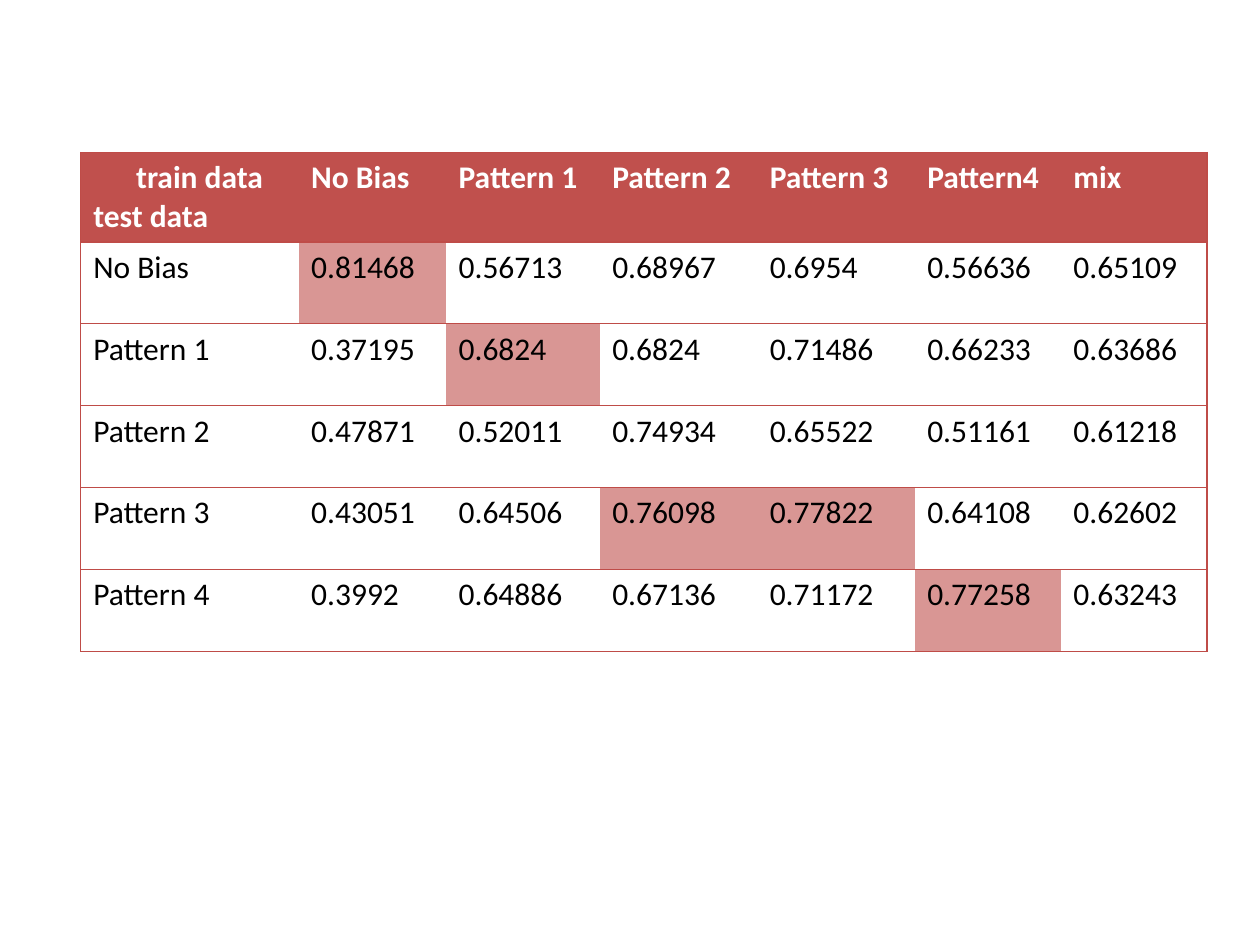
"""Build a slide with a table of scores by training and test data."""
from dataclasses import dataclass

from lxml import etree
from pptx import Presentation
from pptx.dml.color import RGBColor
from pptx.oxml.ns import qn
from pptx.table import _Cell as Cell
from pptx.util import Inches, Pt

COLORS = {
    "header": "C0504D",
    "border": "BF4C48",
    "highlight": "D99694",
    "white": "FFFFFF",
    "black": "000000",
}
COL_WIDTHS = [1.73, 1.17, 1.22, 1.25, 1.25, 1.16, 1.16]
HEADER_HEIGHT, ROW_HEIGHT = 0.7, 0.65
HEADER = ["train data\ntest data", "No Bias", "Pattern 1", "Pattern 2",
          "Pattern 3", "Pattern4", "mix"]


@dataclass
class ScoreRow:
    test_data: str
    scores: list[str]
    highlighted: tuple[int, ...] = ()


ROWS = [
    ScoreRow("No Bias", ["0.81468", "0.56713", "0.68967", "0.6954", "0.56636", "0.65109"], (1,)),
    ScoreRow("Pattern 1", ["0.37195", "0.6824", "0.6824", "0.71486", "0.66233", "0.63686"], (2,)),
    ScoreRow("Pattern 2", ["0.47871", "0.52011", "0.74934", "0.65522", "0.51161", "0.61218"]),
    ScoreRow("Pattern 3", ["0.43051", "0.64506", "0.76098", "0.77822", "0.64108", "0.62602"], (3, 4)),
    ScoreRow("Pattern 4", ["0.3992", "0.64886", "0.67136", "0.71172", "0.77258", "0.63243"], (5,)),
]


def set_borders(cell: Cell, sides: str) -> None:
    tc_pr = cell._tc.get_or_add_tcPr()
    for i, side in enumerate("LRTB"):
        ln = etree.Element(qn(f"a:ln{side}"), w=str(Pt(0.75)))
        if side in sides:
            fill = etree.SubElement(ln, qn("a:solidFill"))
            etree.SubElement(fill, qn("a:srgbClr"), val=COLORS["border"])
        else:
            etree.SubElement(ln, qn("a:noFill"))
        tc_pr.insert(i, ln)


def write_cell(cell: Cell, text: str, color: str, bold: bool, fill: str | None) -> None:
    cell.text_frame.text = text
    for p in cell.text_frame.paragraphs:
        for r in p.runs:
            r.font.name = "Calibri"
            r.font.size = Pt(18)
            r.font.bold = bold
            r.font.color.rgb = RGBColor.from_string(COLORS[color])
    if fill:
        cell.fill.solid()
        cell.fill.fore_color.rgb = RGBColor.from_string(COLORS[fill])
    else:
        cell.fill.background()


prs = Presentation()
prs.slide_width, prs.slide_height = Inches(10), Inches(7.5)
slide = prs.slides.add_slide(prs.slide_layouts[6])

height = HEADER_HEIGHT + ROW_HEIGHT * len(ROWS)
table = slide.shapes.add_table(
    len(ROWS) + 1, len(HEADER), Inches(0.64), Inches(1.21),
    Inches(sum(COL_WIDTHS)), Inches(height)).table
table.horz_banding = False
for column, width in zip(table.columns, COL_WIDTHS):
    column.width = Inches(width)
for i, row in enumerate(table.rows):
    row.height = Inches(ROW_HEIGHT if i else HEADER_HEIGHT)

for j, label in enumerate(HEADER):
    write_cell(table.cell(0, j), label, "white", True, "header")
for i, row in enumerate(ROWS, 1):
    for j, text in enumerate([row.test_data, *row.scores]):
        fill = "highlight" if j in row.highlighted else None
        write_cell(table.cell(i, j), text, "black", False, fill)

for i in range(len(ROWS) + 1):
    for j in range(len(HEADER)):
        outer = {0: "L", len(HEADER) - 1: "R"}.get(j, "")
        set_borders(table.cell(i, j), "TB" + outer)

train_label = table.cell(0, 0).text_frame.paragraphs[0]
train_label._p.get_or_add_pPr().set("marL", str(Inches(0.34)))

prs.save("out.pptx")
